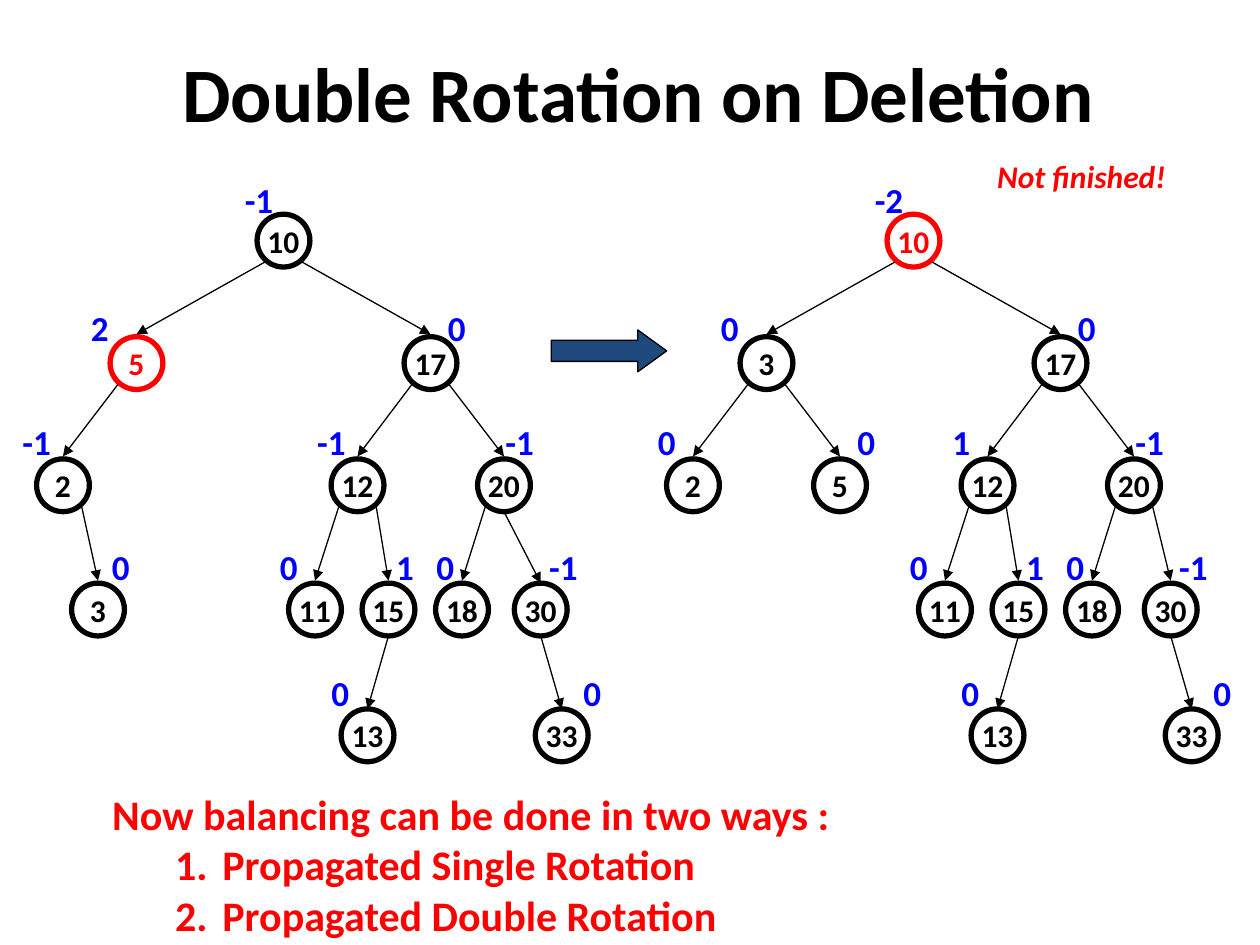
from dataclasses import dataclass

from lxml import etree
from pptx import Presentation
from pptx.dml.color import RGBColor
from pptx.enum.shapes import MSO_CONNECTOR, MSO_SHAPE
from pptx.enum.text import MSO_ANCHOR, PP_ALIGN
from pptx.oxml.ns import qn
from pptx.util import Pt

STRAIGHT = MSO_CONNECTOR.STRAIGHT
OVAL, RIGHT_ARROW = MSO_SHAPE.OVAL, MSO_SHAPE.RIGHT_ARROW
MIDDLE, TOP = MSO_ANCHOR.MIDDLE, MSO_ANCHOR.TOP
CENTER, LEFT = PP_ALIGN.CENTER, PP_ALIGN.LEFT

BLACK = RGBColor(0x00, 0x00, 0x00)
RED = RGBColor(0xFF, 0x00, 0x00)
BLUE = RGBColor(0x00, 0x00, 0xFF)
NAVY = RGBColor(0x1F, 0x49, 0x7D)

DIAMETER = 30.2
RADIUS = DIAMETER / 2
LEVEL_Y = (137.5, 207.5, 277.3, 348.3, 420.2)
LABEL_RISE = (23, 20, 24.3, 24.3, 24.3)
LABEL_WIDTHS = {1: 24.5, 2: 32}  # by number of characters
LABEL_HEIGHT = 32
TREE_SHIFT = 360


@dataclass
class Node:
    key: str
    balance: str
    x: float
    level: int
    label_dx: float
    parent: str = ""
    color: RGBColor = BLACK
    from_bottom: bool = False


def right_subtree(balance_of_12, centered_30):
    """Nodes below the root's right link; centered_30 starts the edge to 30 at the foot of 20."""
    return [
        Node("17", "0", 246, 1, 15, "10"),
        Node("12", balance_of_12, 204.3, 2, -15, "17"),
        Node("20", "-1", 288, 2, 9, "17"),
        Node("11", "0", 180, 3, -15, "12"),
        Node("15", "1", 222, 3, 9.5, "12"),
        Node("18", "0", 264, 3, -9.5, "20"),
        Node("30", "-1", 309, 3, 13, "20", from_bottom=centered_30),
        Node("13", "0", 210, 4, -15.5, "15", from_bottom=True),
        Node("33", "0", 321, 4, 17.5, "30", from_bottom=True),
    ]


BEFORE = [
    Node("10", "-1", 162, 0, -14),
    Node("5", "2", 78, 1, -21, "10", RED),
    Node("2", "-1", 36, 2, -15, "5"),
    Node("3", "0", 56, 3, 13, "2"),
] + right_subtree("-1", True)

AFTER = [
    Node("10", "-2", 162, 0, -14, color=RED),
    Node("3", "0", 78, 1, -21, "10"),
    Node("2", "0", 36, 2, -15, "3"),
    Node("5", "0", 120, 2, 15, "3"),
] + right_subtree("1", False)


class TreePage:
    font_name = "Calibri"

    def __init__(self, page):
        self.page = page

    def style(self, para, size, color, align=CENTER, italic=None):
        para.alignment = align
        font = para.font
        font.name, font.size, font.bold, font.italic = self.font_name, Pt(size), True, italic
        font.color.rgb = color

    def text(self, content, left, top, width, height, size, color,
             anchor=TOP, align=CENTER, italic=None):
        box = self.page.shapes.add_textbox(Pt(left), Pt(top), Pt(width), Pt(height))
        frame = box.text_frame
        frame.word_wrap, frame.vertical_anchor = True, anchor
        frame.text = content
        self.style(frame.paragraphs[0], size, color, align, italic)
        return frame

    def numbered(self, frame, content, size, color):
        para = frame.add_paragraph()
        para.text = content
        para.level = 1
        properties = para._p.get_or_add_pPr()
        properties.set("marL", str(Pt(63)))
        properties.set("indent", str(Pt(-27)))
        etree.SubElement(properties, qn("a:buFont"), typeface="+mj-lt")
        etree.SubElement(properties, qn("a:buAutoNum"), type="arabicPeriod")
        self.style(para, size, color, LEFT)

    def circle(self, node, x, y):
        shape = self.page.shapes.add_shape(
            OVAL, Pt(x - RADIUS), Pt(y - RADIUS), Pt(DIAMETER), Pt(DIAMETER))
        shape.shadow.inherit = False
        shape.fill.background()
        shape.line.color.rgb = node.color
        shape.line.width = Pt(3)
        frame = shape.text_frame
        frame.word_wrap, frame.vertical_anchor = False, MIDDLE
        frame.text = node.key
        self.style(frame.paragraphs[0], 18, node.color)

    def balance_label(self, content, x, y):
        """Place a balance factor centred on x, y."""
        width = LABEL_WIDTHS[len(content)]
        self.text(content, x - width / 2, y - LABEL_HEIGHT / 2, width, LABEL_HEIGHT, 20, BLUE)

    def edge(self, x1, y1, x2, y2):
        line = self.page.shapes.add_connector(STRAIGHT, Pt(x1), Pt(y1), Pt(x2), Pt(y2))
        line.line.color.rgb = BLACK
        line.line.width = Pt(0.75)
        etree.SubElement(line.line._get_or_add_ln(), qn("a:tailEnd"), type="triangle")
        etree.SubElement(line._element.spPr, qn("a:effectLst"))

    def block_arrow(self, left, top, width, height):
        shape = self.page.shapes.add_shape(
            RIGHT_ARROW, Pt(left), Pt(top), Pt(width), Pt(height))
        shape.adjustments[1] = 0.69
        shape.shadow.inherit = False
        shape.fill.solid()
        shape.fill.fore_color.rgb = NAVY
        shape.line.color.rgb = BLACK
        shape.line.width = Pt(0.75)

    def tree(self, nodes, shift=0):
        by_key = {node.key: node for node in nodes}
        for node in nodes:
            x, y = node.x + shift, LEVEL_Y[node.level]
            self.circle(node, x, y)
            self.balance_label(node.balance, x + node.label_dx, y - LABEL_RISE[node.level])
            if not node.parent:
                continue
            parent = by_key[node.parent]
            start_x, start_y = parent.x + shift, LEVEL_Y[parent.level]
            if node.from_bottom:
                self.edge(start_x, start_y + RADIUS, x, y - RADIUS)
            else:
                side = 10.7 if node.x > parent.x else -10.7
                self.edge(start_x + side, start_y + 12.3, x, y - 16.5)


def main():
    deck = Presentation()
    deck.slide_width, deck.slide_height = Pt(720), Pt(540)
    page = TreePage(deck.slides.add_slide(deck.slide_layouts[6]))

    page.text("Double Rotation on Deletion", 41, 21, 648, 63, 44, BLACK, MIDDLE)
    page.tree(BEFORE)
    page.block_arrow(315, 188.5, 66, 24)
    page.tree(AFTER, TREE_SHIFT)
    page.text("Not finished!", 555, 86, 126, 29, 18, RED, italic=True)

    summary = page.text("Now balancing can be done in two ways :",
                        57, 447, 433, 94, 24, RED, align=LEFT)
    for way in ("Propagated Single Rotation", "Propagated Double Rotation"):
        page.numbered(summary, way, 24, RED)
    deck.save("out.pptx")


if __name__ == "__main__":
    main()
